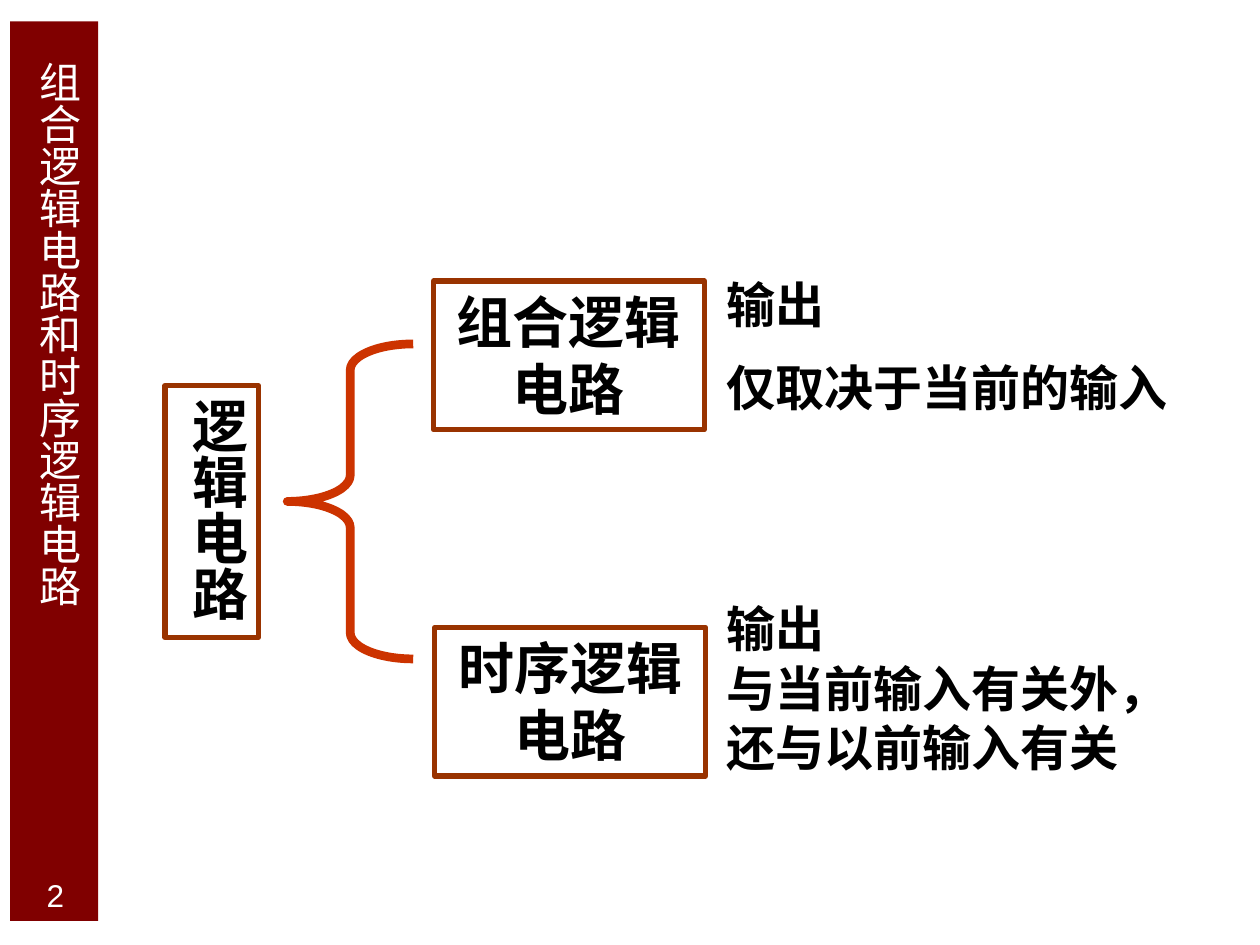
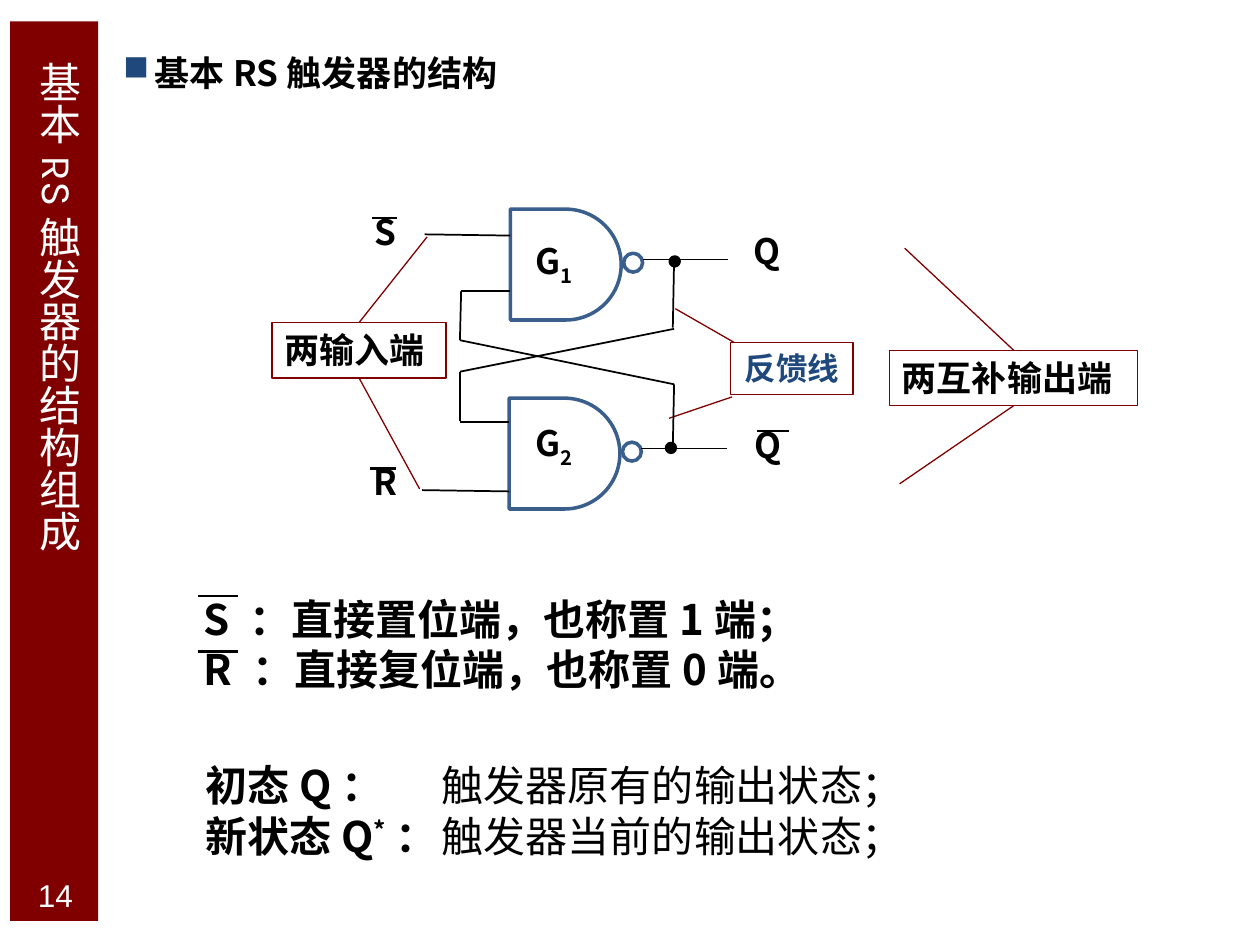
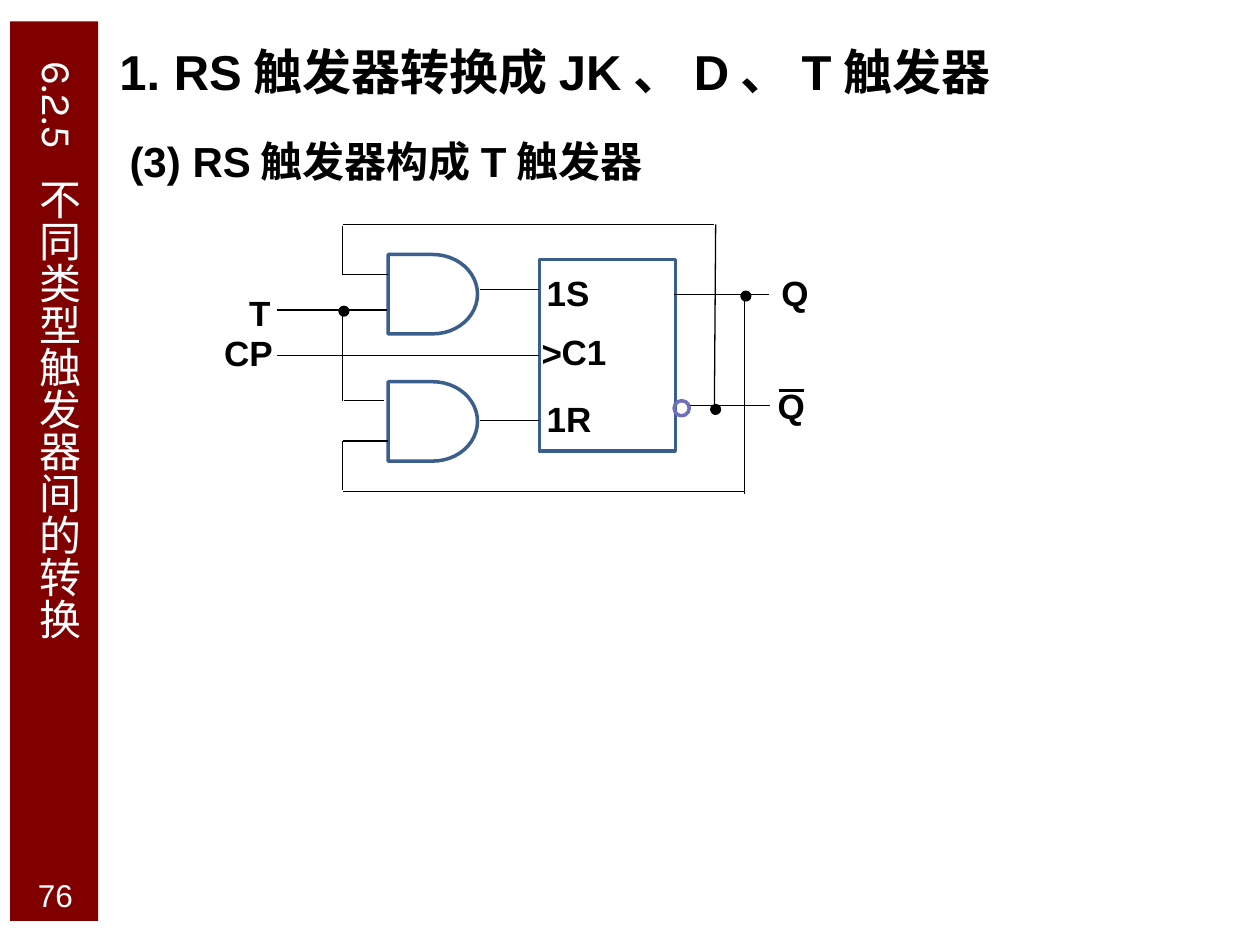
from dataclasses import dataclass

from lxml.etree import SubElement
from pptx import Presentation
from pptx.dml.color import RGBColor
from pptx.enum.shapes import MSO_CONNECTOR, MSO_SHAPE
from pptx.enum.text import MSO_ANCHOR, MSO_AUTO_SIZE, PP_ALIGN
from pptx.oxml.ns import qn
from pptx.util import Inches, Pt


@dataclass(frozen=True)
class Theme:
    band: str = "800000"
    white: str = "FFFFFF"
    ink: str = "000000"
    frame: str = "993300"
    brace: str = "CC3300"
    gate: str = "3A5F8C"
    accent: str = "1F497D"
    bubble: str = "6F6FBC"
    cjk: str = "Noto Sans CJK SC"
    latin: str = "Arial"
    side: str = "Karla"
    huge: int = 32
    large: int = 28
    medium: int = 24
    normal: int = 20
    small: int = 18


theme = Theme()
LEFT, CENTER, RIGHT = PP_ALIGN.LEFT, PP_ALIGN.CENTER, PP_ALIGN.RIGHT


def put(page, kind, area, lines=(), fill=None, line=None, width=0.75, font=theme.cjk,
        size=theme.normal, color=theme.ink, bold=True, align=LEFT, before=0.0,
        spacing=None, hang=None, vertical=False, wrap=True):
    """Place a shape, a text box (kind None) or the title (kind "title")."""
    place = [Inches(value) for value in area]
    if kind == "title":
        box = page.shapes.title
        box.left, box.top, box.width, box.height = place
    elif kind is None:
        box = page.shapes.add_textbox(*place)
    else:
        box = page.shapes.add_shape(kind, *place)
        box.shadow.inherit = False
        for paint, tone in ((box.fill, fill), (box.line.fill, line)):
            if tone:
                paint.solid()
                paint.fore_color.rgb = RGBColor.from_string(tone)
            else:
                paint.background()
        if line:
            box.line.width = Pt(width)
    if not lines:
        return box

    frame = box.text_frame
    frame_format = {"word_wrap": wrap, "auto_size": MSO_AUTO_SIZE.NONE,
                    "vertical_anchor": MSO_ANCHOR.TOP}
    for name, value in frame_format.items():
        setattr(frame, name, value)
    if vertical:
        frame._txBody.bodyPr.set("vert", "eaVert")
    para_format = {"alignment": align, "line_spacing": spacing,
                   "space_before": Pt(size * before)}
    font_format = {"name": font, "size": Pt(size), "bold": bold}
    for index, content in enumerate(lines):
        para = frame.add_paragraph() if index else frame.paragraphs[0]
        for name, value in para_format.items():
            setattr(para, name, value)
        if hang:
            para._p.get_or_add_pPr().set("marL", str(Inches(hang[0])))
            para._p.get_or_add_pPr().set("indent", str(Inches(hang[1])))
        # A line is plain text or a list of (text, changed values)
        for text, changes in [(content, {})] if isinstance(content, str) else content:
            span = para.add_run()
            span.text = text
            for name, value in font_format.items():
                setattr(span.font, name, changes.get(name, value))
            span.font.color.rgb = RGBColor.from_string(color)
            marks = span._r.get_or_add_rPr()
            SubElement(marks, qn("a:ea"), typeface=theme.cjk)
            if "baseline" in changes:
                marks.set("baseline", str(changes["baseline"] * 1000))
    return box


def wire(page, start, end, color=theme.ink, width=0.75):
    """Draw a straight line without a shadow."""
    points = [Inches(value) for value in (*start, *end)]
    link = page.shapes.add_connector(MSO_CONNECTOR.STRAIGHT, *points)
    link.line.color.rgb = RGBColor.from_string(color)
    link.line.width = Pt(width)
    SubElement(link._element.spPr, qn("a:effectLst"))
    return link


deck = Presentation()
deck.slide_width, deck.slide_height = Inches(10), Inches(7.5)
layout = deck.slide_layouts[5]

# Shared parts: side band on the layout, vertical title, page number
pages = []
for title, number in (("组合逻辑电路和时序逻辑电路", "2"),
                      ("基本RS触发器的结构组成", "14"),
                      ("6.2.5  不同类型触发器间的转换", "76")):
    page = deck.slides.add_slide(layout)
    if not pages:
        band = put(page, MSO_SHAPE.RECTANGLE, (0.08, 0.17, 0.7, 7.14), fill=theme.band)
        layout.shapes.element.insert(2, band.element)
    put(page, "title", (0.12, 0.44, 0.65, 6.72), [title], font=theme.side,
        size=theme.medium, color=theme.white, bold=False, vertical=True)
    put(page, None, (0.12, 6.9, 0.64, 0.35), [number], font=theme.latin,
        size=theme.small, color=theme.white, bold=False, align=CENTER)
    pages.append(page)
overview, latch, conversion = pages

# Slide 1: tree of logic circuits
framed = {"line": theme.frame, "width": 3, "size": theme.huge, "before": 0.5}
put(overview, MSO_SHAPE.RECTANGLE, (1.31, 3.06, 0.74, 2), ["逻辑电路"],
    vertical=True, **framed)
brace = put(overview, MSO_SHAPE.LEFT_BRACE, (2.28, 2.73, 1, 2.5),
            line=theme.brace, width=5)
brace.adjustments[0] = 0.208
for left, top, name in ((3.44, 2.23, "组合逻辑电路"), (3.45, 4.98, "时序逻辑电路")):
    put(overview, MSO_SHAPE.RECTANGLE, (left, top, 2.15, 1.18), [name],
        align=CENTER, **framed)
put(overview, None, (5.67, 2.13, 4.35, 1.28), ["输出", "仅取决于当前的输入"],
    size=theme.large, before=0.5)
put(overview, None, (5.67, 4.89, 4.26, 1.44),
    ["输出", "与当前输入有关外，", "还与以前输入有关"],
    size=theme.large, before=0.5, spacing=Pt(20))

# Slide 2: bulleted heading
heading = put(latch, None, (0.83, 0.36, 8.96, 0.6), ["基本RS触发器的结构"],
              before=0.2, hang=(0.3, -0.25))
bullet = heading.text_frame.paragraphs[0]._p.get_or_add_pPr()
SubElement(SubElement(bullet, qn("a:buClr")), qn("a:srgbClr"), val=theme.accent)
SubElement(bullet, qn("a:buChar"), char="■")

# Slide 2: callouts with their pointers
for area, name, upper, lower in (
        ((2.16, 2.56, 1.38, 0.44), "两输入端", (3.39, 1.88), (3.33, 3.88)),
        ((7.06, 2.78, 1.97, 0.44), "两互补输出端", (7.18, 1.97), (7.14, 3.84))):
    callout = put(latch, MSO_SHAPE.RECTANGLE, area, [name], line=theme.band)
    for site, target in ((0, upper), (2, lower)):
        pointer = wire(latch, area[:2], target, theme.band)
        pointer.begin_connect(callout, site)
put(latch, MSO_SHAPE.RECTANGLE, (5.8, 2.72, 0.97, 0.41), ["反馈线"], line=theme.band,
    size=theme.small, color=theme.accent, align=CENTER, wrap=False)
wire(latch, (5.83, 2.72), (5.36, 2.45), theme.band)
wire(latch, (5.81, 3.15), (5.31, 3.32), theme.band)

# Slide 2: gates, inverting bubbles and junctions
for index, (left, top, bubble_top, dot) in enumerate((
        (4.05, 1.66, 2.01, (5.32, 2.04)), (4.04, 3.16, 3.51, (5.29, 3.52))), 1):
    put(latch, MSO_SHAPE.FLOWCHART_DELAY, (left, top, 0.88, 0.88),
        line=theme.gate, width=2)
    put(latch, MSO_SHAPE.OVAL, (left + 0.9, bubble_top, 0.15, 0.15),
        line=theme.gate, width=2)
    put(latch, MSO_SHAPE.OVAL, (*dot, 0.07, 0.07), fill=theme.ink, line=theme.ink, width=2)
    put(latch, None, (4, 0.42 + 1.44 * index, 0.8, 0.4),
        [[("G", {}), (str(index), {"baseline": -25})]],
        align=CENTER, before=0.2, spacing=0.9)

# Slide 2: wiring
for start, end in (
        ((3.37, 1.86), (4.05, 1.87)), ((3.66, 2.31), (4.05, 2.31)),
        ((3.66, 2.31), (3.65, 2.7)), ((3.65, 2.7), (5.35, 3.05)),
        ((5.35, 3.05), (5.34, 3.54)), ((5.1, 2.06), (5.78, 2.06)),
        ((5.35, 2.06), (5.34, 2.6)), ((5.35, 2.61), (3.65, 2.95)),
        ((3.65, 2.95), (3.65, 3.34)), ((3.65, 3.35), (4.04, 3.35)),
        ((3.35, 3.89), (4.04, 3.9)), ((5.09, 3.56), (5.77, 3.56))):
    wire(latch, start, end, width=1)

# Slide 2: signal names and overbars
for left, top, name, align in ((2.66, 1.66, "S", CENTER), (2.66, 3.64, "R", CENTER),
                               (5.49, 1.81, "Q", RIGHT), (5.5, 3.35, "Q", RIGHT)):
    put(latch, None, (left, top, 0.8, 0.4), [name], align=align, before=0.2, spacing=0.9)
for left, top, length in ((2.95, 1.73, 0.2), (2.94, 3.72, 0.2), (6.01, 3.42, 0.25),
                          (1.57, 4.73, 0.32), (1.57, 5.17, 0.32)):
    wire(latch, (left, top), (left + length, top), width=1.5)

# Slide 2: explanations
put(latch, None, (1.52, 4.66, 6.2, 0.91),
    ["S ：直接置位端，也称置1端；", "R ：直接复位端，也称置0端。"], size=theme.medium)
plain = {"bold": False}
put(latch, None, (1.53, 5.98, 6.1, 0.91),
    [[("初态Q：\t", {}), ("触发器原有的输出状态；", plain)],
     [("新状态Q", {}), ("*", {"baseline": 30}), ("：\t", {}),
      ("触发器当前的输出状态；", plain)]],
    size=theme.medium, hang=(0.38, -0.38))

# Slide 3: headings
label = {"font": theme.latin, "before": 0.2, "spacing": 0.9}
put(conversion, None, (0.85, 0.33, 9.1, 0.53), ["1. RS触发器转换成JK、D、T触发器"],
    size=theme.large, **label)
put(conversion, None, (0.93, 1.07, 8.63, 0.5), ["(3) RS触发器构成T触发器"],
    size=theme.medium, hang=(0.38, -0.38), **label)

# Slide 3: flip-flop, gates, bubble and junctions
flip_flop = put(conversion, MSO_SHAPE.RECTANGLE, (4.28, 2.06, 1.08, 1.52),
                line=theme.gate, width=2)
for top in (2.02, 3.03):
    put(conversion, MSO_SHAPE.FLOWCHART_DELAY, (3.08, top, 0.71, 0.63),
        line=theme.gate, width=2)
put(conversion, MSO_SHAPE.OVAL, (5.35, 3.18, 0.12, 0.12), line=theme.bubble, width=2)
for left, top in ((5.89, 2.32), (5.65, 3.22), (2.7, 2.44)):
    put(conversion, MSO_SHAPE.OVAL, (left, top, 0.06, 0.06),
        fill=theme.ink, line=theme.ink, width=2)

# Slide 3: wiring
clock = wire(conversion, (2.2, 2.82), (4.28, 2.82))
clock.end_connect(flip_flop, 1)
for start, end in (
        ((2.2, 2.46), (3.07, 2.46)), ((2.72, 2.47), (2.72, 3.18)),
        ((2.73, 3.18), (3.05, 3.18)), ((3.81, 2.3), (4.28, 2.3)),
        ((3.81, 3.34), (4.28, 3.34)), ((5.35, 2.34), (6.1, 2.34)),
        ((5.48, 3.22), (6.11, 3.22)), ((5.68, 1.78), (5.67, 3.24)),
        ((2.72, 1.78), (5.67, 1.78)), ((2.72, 1.79), (2.72, 2.18)),
        ((2.72, 2.18), (3.08, 2.18)), ((5.91, 2.34), (5.91, 3.92)),
        ((2.72, 3.9), (5.91, 3.9)), ((2.72, 3.5), (2.72, 3.89)),
        ((2.72, 3.5), (3.08, 3.5))):
    wire(conversion, start, end)
wire(conversion, (6.18, 3.1), (6.38, 3.1), width=1.5)

# Slide 3: signal names
for left, top, name, align in (
        (4.24, 2.14, "1S", LEFT), (4.2, 2.62, ">", LEFT), (4.36, 2.61, "C1", LEFT),
        (4.24, 3.14, "1R", LEFT), (1.88, 2.3, "T", LEFT), (1.68, 2.62, "CP", LEFT),
        (5.99, 2.14, "Q", CENTER), (5.96, 3.04, "Q", CENTER)):
    put(conversion, None, (left, top, 0.64, 0.4), [name], align=align, **label)

deck.save("out.pptx")
